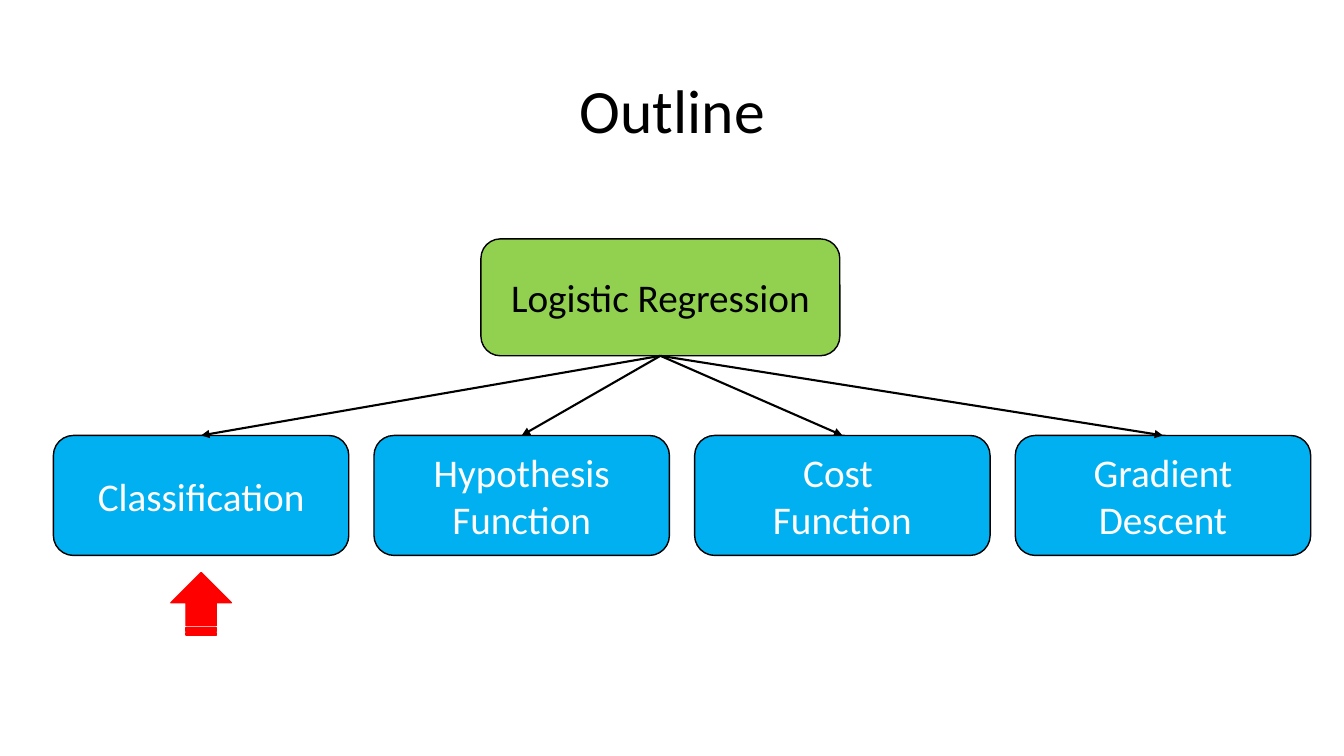
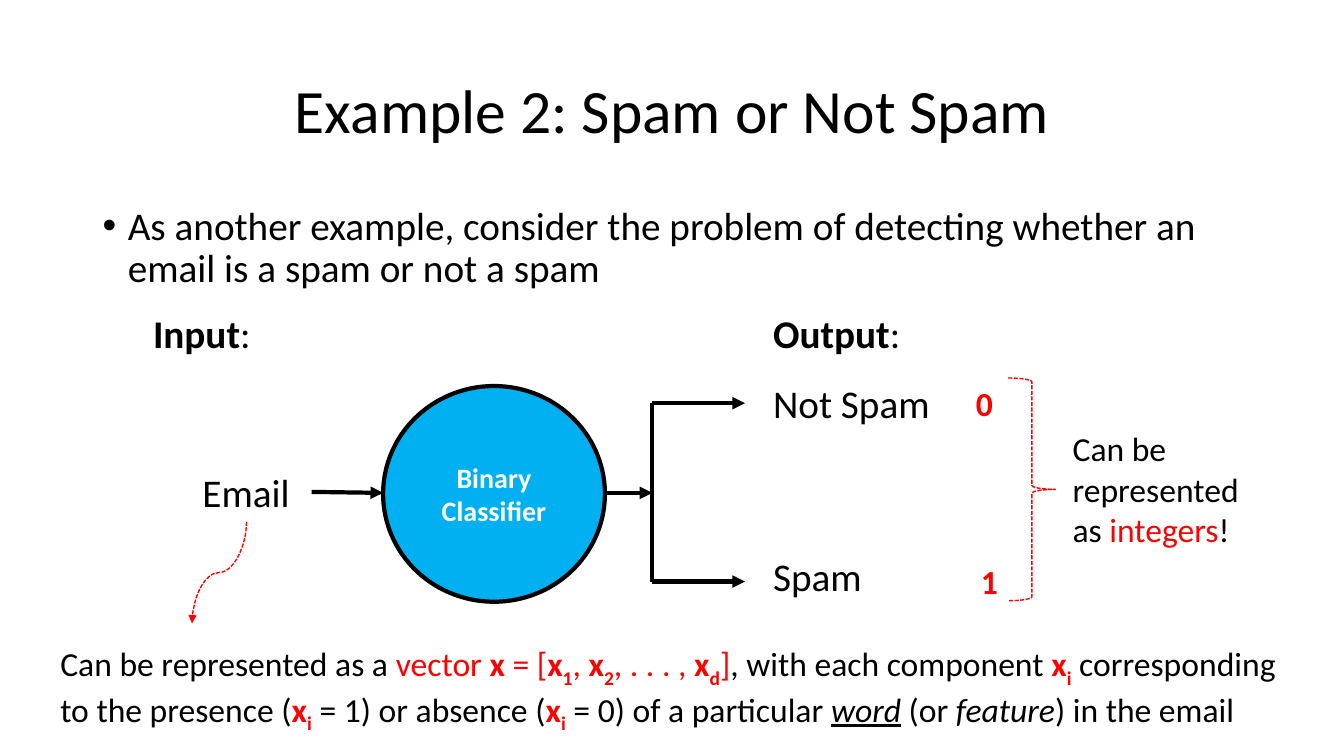
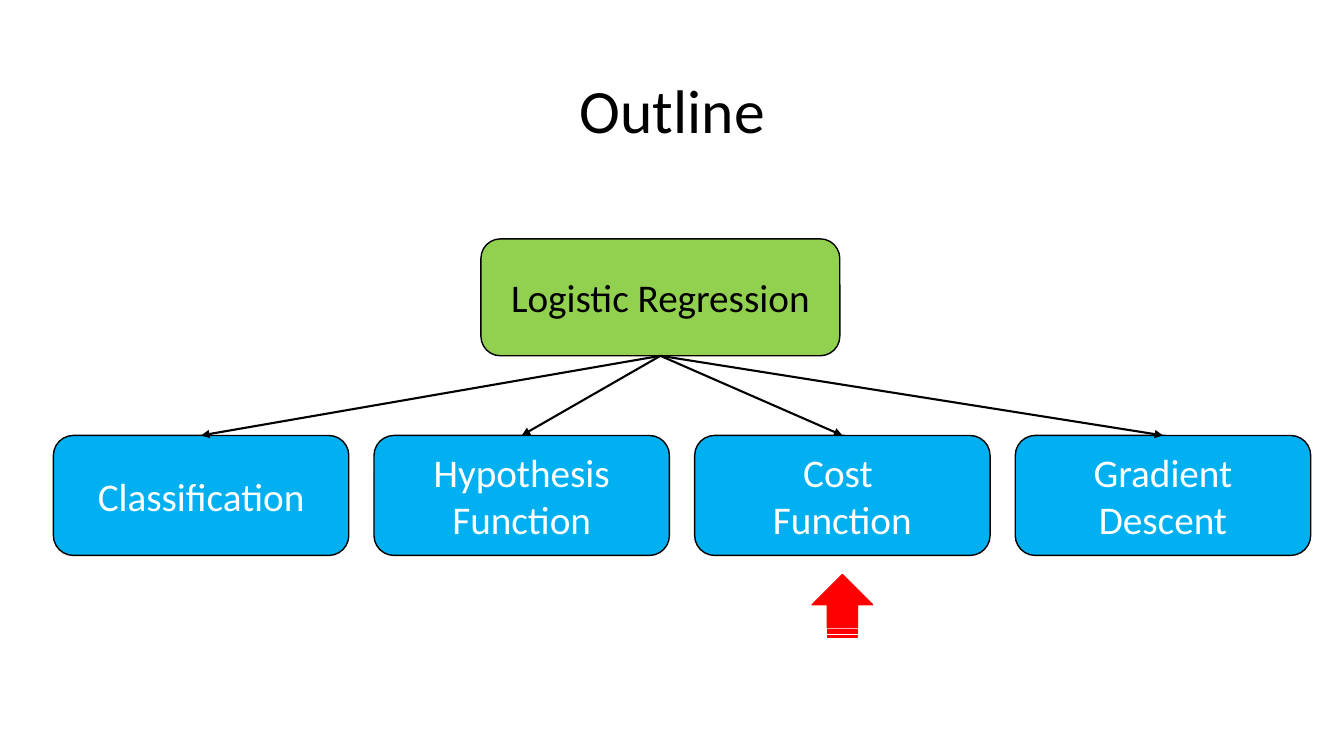
from dataclasses import dataclass

from lxml import etree
from pptx import Presentation
from pptx import util as u
from pptx.dml.color import RGBColor
from pptx.enum import dml, shapes, text
from pptx.oxml.ns import qn

FONT = "Calibri"
BLACK, WHITE, RED = "000000", "FFFFFF", "FF0000"
GREEN, BLUE = "92D050", "00B0F0"
TITLE_SIZE, LARGE, MEDIUM, SMALL = 44, 28, 24, 20

TOPICS = ("Classification", "Hypothesis Function", "Cost \nFunction", "Gradient Descent")
TOPIC_LEFT, TOPIC_TOP, TOPIC_PITCH = 0.53, 4.32, 3.18
TOPIC_WIDTH, TOPIC_HEIGHT = 2.93, 1.19
POINTER_WIDTH, POINTER_HEIGHT = 0.62, 0.6


@dataclass(frozen=True)
class Run:
    text: str
    color: str | None = None
    bold: bool | None = None
    italic: bool = False
    underline: bool = False
    subscript: bool = False


@dataclass(frozen=True)
class Box:
    left: float
    top: float
    width: float
    height: float

    def lengths(self):
        return [u.Inches(side) for side in (self.left, self.top, self.width, self.height)]


@dataclass(frozen=True)
class Label:
    box: Box
    paragraphs: list
    size: int = LARGE
    color: str = BLACK
    bold: bool = False


def rgb(color: str) -> RGBColor:
    return RGBColor.from_string(color)


def write_text(frame, paragraphs, *, size=LARGE, color=BLACK, bold=False, align=None,
               anchor=text.MSO_ANCHOR.TOP, wrap=True, spacing=None, bullet=False):
    frame.word_wrap = wrap
    frame.vertical_anchor = anchor
    for index, runs in enumerate(paragraphs):
        paragraph = frame.paragraphs[0] if index == 0 else frame.add_paragraph()
        if bullet:
            properties = paragraph._p.get_or_add_pPr()
            properties.set("marL", str(u.Inches(0.25)))
            properties.set("indent", str(-u.Inches(0.25)))
            etree.SubElement(properties, qn("a:buFont")).set("typeface", "Arial")
            etree.SubElement(properties, qn("a:buChar")).set("char", "•")
        paragraph.alignment = align
        paragraph.line_spacing = spacing
        for part in [Run(runs)] if isinstance(runs, str) else runs:
            for line_number, line in enumerate(part.text.split("\n")):
                if line_number:
                    paragraph.add_line_break()
                run = paragraph.add_run()
                run.text = line
                font = run.font
                font.name, font.size = FONT, u.Pt(size)
                font.bold = bold if part.bold is None else part.bold
                font.italic, font.underline = part.italic, part.underline
                font.color.rgb = rgb(part.color or color)
                if part.subscript:
                    run._r.get_or_add_rPr().set("baseline", "-25000")


def add_text(slide, box: Box, paragraphs, **style):
    shape = slide.shapes.add_textbox(*box.lengths())
    write_text(shape.text_frame, paragraphs, **style)


def add_shape(slide, kind, box: Box, *, fill=None, line=BLACK, width=1.0, dashed=False,
              caption=None, **style):
    shape = slide.shapes.add_shape(kind, *box.lengths())
    shape.shadow.inherit = False
    if fill:
        shape.fill.solid()
        shape.fill.fore_color.rgb = rgb(fill)
    else:
        shape.fill.background()
    format_line(shape.line, line, width, dashed)
    if caption:
        write_text(shape.text_frame, [caption], align=text.PP_ALIGN.CENTER,
                   anchor=text.MSO_ANCHOR.MIDDLE, **style)
    return shape


def format_line(line, color: str, width: float, dashed: bool):
    line.color.rgb = rgb(color)
    line.width = u.Pt(width)
    if dashed:
        line.dash_style = dml.MSO_LINE.SQUARE_DOT


def add_connector(slide, start=(0, 0), end=(0, 0), *, kind=shapes.MSO_CONNECTOR.STRAIGHT,
                  color=BLACK, width=3.0, dashed=False, arrow=True):
    connector = slide.shapes.add_connector(kind, *(u.Inches(value) for value in (*start, *end)))
    format_line(connector.line, color, width, dashed)
    if arrow:
        line = connector.line._get_or_add_ln()
        etree.SubElement(line, qn("a:tailEnd")).set("type", "triangle")
    etree.SubElement(connector._element.spPr, qn("a:effectLst"))
    return connector


def add_slide(presentation, title: str):
    slide = presentation.slides.add_slide(presentation.slide_layouts[6])
    add_text(slide, Box(0.92, 0.4, 11.5, 1.45), [title], size=TITLE_SIZE, spacing=0.9,
             align=text.PP_ALIGN.CENTER, anchor=text.MSO_ANCHOR.MIDDLE)
    return slide


def add_outline_slide(presentation, current: int, pointer_top: float):
    slide = add_slide(presentation, "Outline")
    rounded = shapes.MSO_SHAPE.ROUNDED_RECTANGLE
    root = add_shape(slide, rounded, Box(4.77, 2.37, 3.56, 1.16), fill=GREEN,
                     caption="Logistic Regression")
    for index, topic in enumerate(TOPICS):
        left = TOPIC_LEFT + index * TOPIC_PITCH
        child = add_shape(slide, rounded, Box(left, TOPIC_TOP, TOPIC_WIDTH, TOPIC_HEIGHT),
                          fill=BLUE, caption=topic, color=WHITE)
        connector = add_connector(slide, width=1.5)
        connector.begin_connect(root, 2)
        connector.end_connect(child, 0)
    center = TOPIC_LEFT + current * TOPIC_PITCH + TOPIC_WIDTH / 2
    pointer = add_shape(slide, shapes.MSO_SHAPE.STRIPED_RIGHT_ARROW,
                        Box(center - POINTER_WIDTH / 2, pointer_top, POINTER_WIDTH, POINTER_HEIGHT),
                        fill=RED, line=RED)
    pointer.rotation = 270


def component(index: str) -> list[Run]:
    return [Run("x", RED, bold=True), Run(index, RED, bold=True, subscript=True)]


def add_spam_slide(presentation):
    slide = add_slide(presentation, "Example 2: Spam or Not Spam")
    add_text(slide, Box(0.92, 2, 11.86, 4.76),
             ["As another example, consider the problem of detecting whether an email "
              "is a spam or not a spam"], spacing=0.9, bullet=True)
    add_shape(slide, shapes.MSO_SHAPE.OVAL, Box(3.8, 3.83, 2.2, 2.14), fill=BLUE, width=3,
              caption="Binary Classifier", size=SMALL, color=WHITE, bold=True)

    labels = [
        Label(Box(1.42, 3.02, 1.27, 0.57), [[Run("Input", bold=True), Run(":")]]),
        Label(Box(7.57, 3.02, 1.57, 0.57), [[Run("Output", bold=True), Run(":")]]),
        Label(Box(1.91, 4.6, 1.07, 0.57), ["Email"]),
        Label(Box(7.57, 3.71, 1.77, 0.57), ["Not Spam"]),
        Label(Box(7.57, 5.43, 1.09, 0.57), ["Spam"]),
        Label(Box(9.58, 3.75, 0.37, 0.5), ["0"], MEDIUM, RED, True),
        Label(Box(9.63, 5.52, 0.37, 0.5), ["1"], MEDIUM, RED, True),
        Label(Box(10.54, 4.2, 1.94, 1.31),
              ["Can be \nrepresented", [Run("as "), Run("integers", RED), Run("!")]], MEDIUM),
    ]
    for label in labels:
        add_text(slide, label.box, label.paragraphs, size=label.size, color=label.color,
                 bold=label.bold, wrap=False)

    fork, tip, upper, middle, lower = 6.47, 7.39, 4, 4.89, 5.77
    add_connector(slide, (fork, upper), (fork, lower), arrow=False)
    add_connector(slide, (3.09, 4.88), (3.8, middle))
    add_connector(slide, (6, middle), (fork, middle))
    for branch in (upper, lower):
        add_connector(slide, (fork, branch), (tip, branch))

    curve = add_connector(slide, (1.67, 5.41), (2.68, 5.95), kind=shapes.MSO_CONNECTOR.CURVE,
                          color=RED, width=1, dashed=True)
    curve._element.spPr.find(qn("a:xfrm")).set("rot", str(90 * 60000))
    add_shape(slide, shapes.MSO_SHAPE.RIGHT_BRACE, Box(10, 3.75, 0.47, 2.21), line=RED, dashed=True)

    explanation = [
        Run("Can be represented as a "), Run("vector ", RED), Run("x", RED, bold=True),
        Run(" = [", RED), *component("1"), Run(", ", RED), *component("2"),
        Run(", . . . , ", RED), *component("d"), Run("]", RED),
        Run(", with each component "), *component("i"),
        Run(" corresponding to the presence ("), *component("i"),
        Run(" = 1) or absence ("), *component("i"), Run(" = 0) of a particular "),
        Run("word", italic=True, underline=True), Run(" (or "), Run("feature", italic=True),
        Run(") in the email"),
    ]
    add_text(slide, Box(0.5, 6.33, 12.33, 0.91), [explanation], size=MEDIUM)


def main():
    presentation = Presentation()
    presentation.slide_width = u.Inches(13.33)
    presentation.slide_height = u.Inches(7.5)
    add_outline_slide(presentation, current=0, pointer_top=5.69)
    add_spam_slide(presentation)
    add_outline_slide(presentation, current=2, pointer_top=5.71)
    presentation.save("out.pptx")


if __name__ == "__main__":
    main()
